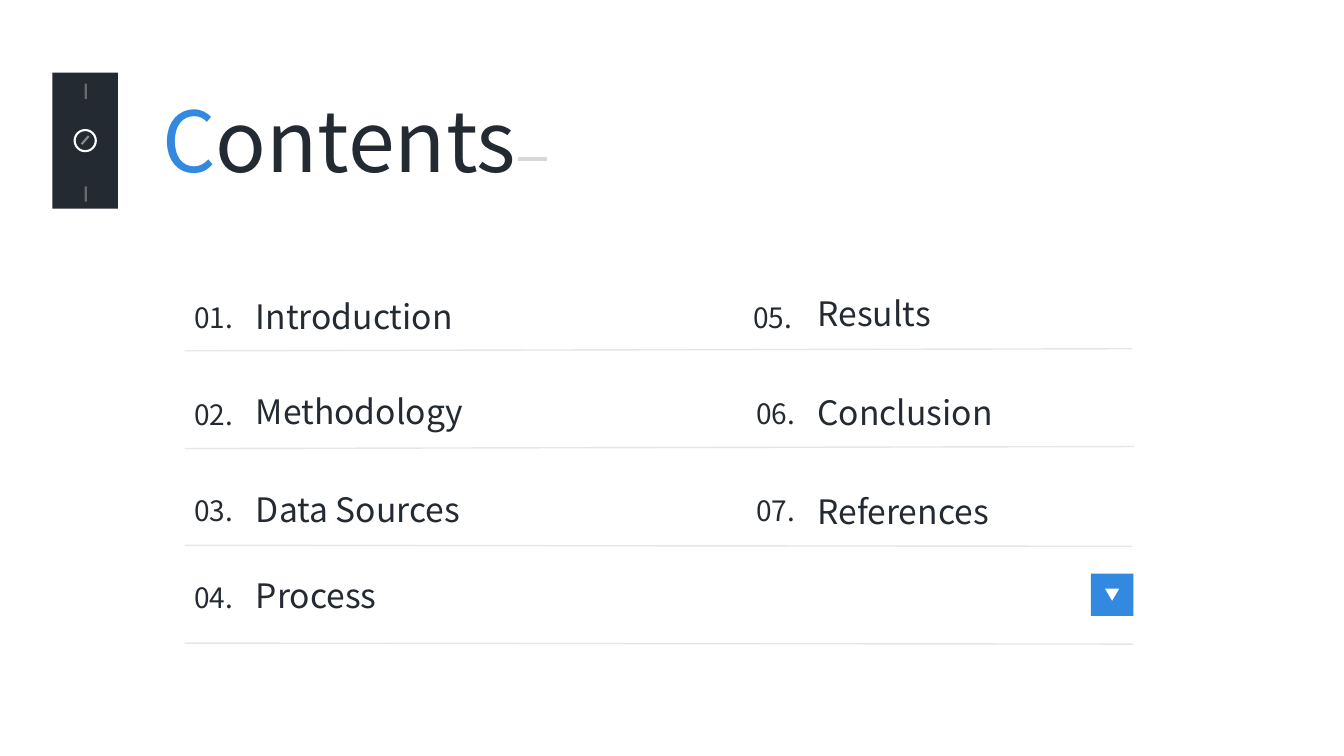
from lxml.etree import SubElement
from pptx import Presentation
from pptx.dml.color import RGBColor
from pptx.enum.shapes import MSO_CONNECTOR, MSO_SHAPE
from pptx.enum.text import MSO_AUTO_SIZE
from pptx.oxml.ns import qn
from pptx.util import Inches, Pt

COLORS = {
    "dark": "242A32",
    "blue": "3388DF",
    "white": "FFFFFF",
    "dash": "D8D8D8",
    "rule": "E7E6E6",
}

# number, number left, number top, title, title left, title top
ENTRIES = [
    ("01.", 1.83, 2.93, "Introduction", 2.44, 2.89),
    ("02.", 1.83, 3.89, "Methodology", 2.44, 3.83),
    ("03.", 1.83, 4.85, "Data Sources", 2.44, 4.8),
    ("04.", 1.83, 5.71, "Process", 2.44, 5.65),
    ("05.", 7.37, 2.93, "Results", 8.01, 2.86),
    ("06.", 7.4, 3.88, "Conclusion", 8.01, 3.84),
    ("07.", 7.4, 4.85, "References", 8.01, 4.82),
]

# left end height, right end, right end height
RULES = [(3.48, 11.23, 3.46), (4.45, 11.25, 4.43), (5.41, 11.23, 5.42), (6.38, 11.24, 6.39)]


def color(name):
    return RGBColor.from_string(COLORS[name])


def add_run(paragraph, text, *, size, fill="dark", font="Noto Sans CJK SC"):
    run = paragraph.add_run()
    run.text = text
    run.font.name = font
    run.font.size = Pt(size)
    run.font.color.rgb = color(fill)


class SlideBuilder:
    def __init__(self, slide):
        self.slide = slide

    def group(self):
        return self.slide.shapes.add_group_shape().shapes

    def text(self, left, top, width, height, *runs, size):
        """Add one line of text made of (text, color name) runs."""
        box = self.slide.shapes.add_textbox(Inches(left), Inches(top), Inches(width), Inches(height))
        frame = box.text_frame
        frame.word_wrap = True
        frame.auto_size = MSO_AUTO_SIZE.SHAPE_TO_FIT_TEXT
        for text, fill in runs:
            add_run(frame.paragraphs[0], text, size=size, fill=fill)

    def shape(self, kind, left, top, width, height, *, fill=None, line=None, parent=None):
        shape = (parent or self.slide.shapes).add_shape(
            kind, Inches(left), Inches(top), Inches(width), Inches(height))
        shape.shadow.inherit = False
        if fill:
            shape.fill.solid()
            shape.fill.fore_color.rgb = color(fill)
        else:
            shape.fill.background()
        if line:
            shape.line.color.rgb = color(line)
            shape.line.width = Pt(1.5)
        else:
            shape.line.fill.background()
        return shape

    def line(self, start, end, *, stroke, width, opacity=None, parent=None):
        """Add a straight line; opacity is a percentage."""
        connector = (parent or self.slide.shapes).add_connector(
            MSO_CONNECTOR.STRAIGHT, *(Inches(value) for value in (*start, *end)))
        connector.line.color.rgb = color(stroke)
        connector.line.width = Pt(width)
        properties = connector.element.spPr
        if opacity:
            stroke_color = next(properties.iter(qn("a:srgbClr")))
            SubElement(stroke_color, qn("a:alpha"), val=str(opacity * 1000))
        SubElement(properties, qn("a:effectLst"))


def add_heading(builder):
    builder.text(1.51, 0.83, 4.08, 1.11, ("C", "blue"), ("ontents", "dark"), size=60)
    builder.line((5.14, 1.58), (5.43, 1.58), stroke="dash", width=3)


def add_badge(builder):
    builder.shape(MSO_SHAPE.RECTANGLE, 0.52, 0.72, 0.65, 1.35, fill="dark")
    for top in (0.83, 1.85):
        builder.line((0.85, top), (0.85, top + 0.15), stroke="white", width=1.5, opacity=30)
    dial = builder.group()
    builder.shape(MSO_SHAPE.OVAL, 0.74, 1.29, 0.21, 0.21, line="white", parent=dial)
    builder.line((0.88, 1.35), (0.81, 1.43), stroke="white", width=1.5, opacity=45, parent=dial)


def add_entries(builder):
    for number, number_left, number_top, title, title_left, title_top in ENTRIES:
        builder.text(number_left, number_top, 0.75, 0.44, (number, "dark"), size=20)
        builder.text(title_left, title_top, 3.7, 0.5, (title, "dark"), size=24)
    for left_height, right, right_height in RULES:
        builder.line((1.83, left_height), (right, right_height), stroke="rule", width=1)


def add_down_button(builder):
    button = builder.group()
    builder.shape(MSO_SHAPE.RECTANGLE, 10.82, 5.69, 0.42, 0.42, fill="blue", parent=button)
    arrow = builder.shape(
        MSO_SHAPE.ISOSCELES_TRIANGLE, 10.96, 5.84, 0.14, 0.12, fill="white", parent=button)
    arrow.rotation = 180


def main():
    presentation = Presentation()
    presentation.slide_width = Inches(13.33)
    presentation.slide_height = Inches(7.5)
    builder = SlideBuilder(presentation.slides.add_slide(presentation.slide_layouts[6]))
    add_heading(builder)
    add_badge(builder)
    add_entries(builder)
    add_down_button(builder)
    presentation.save("out.pptx")


if __name__ == "__main__":
    main()
